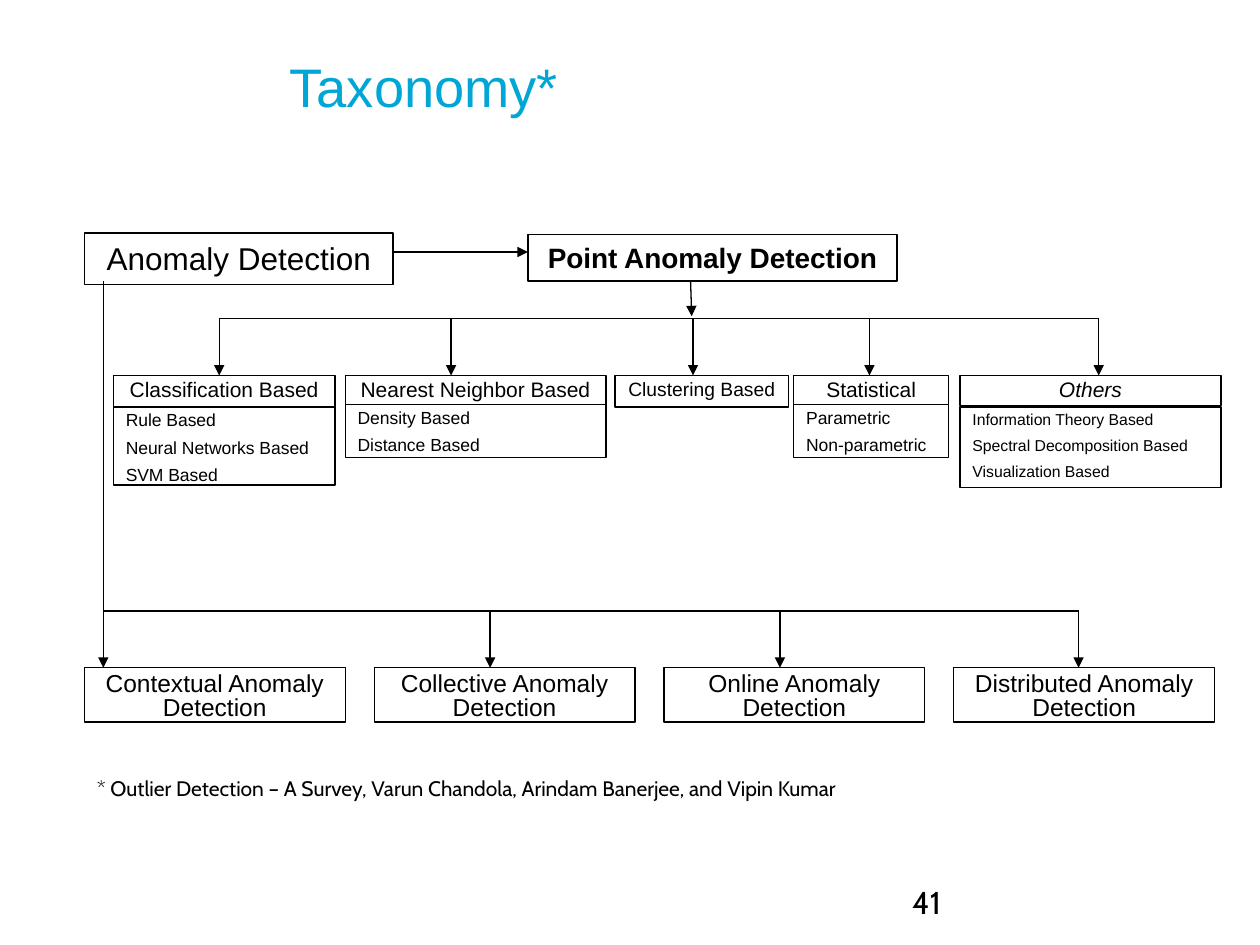
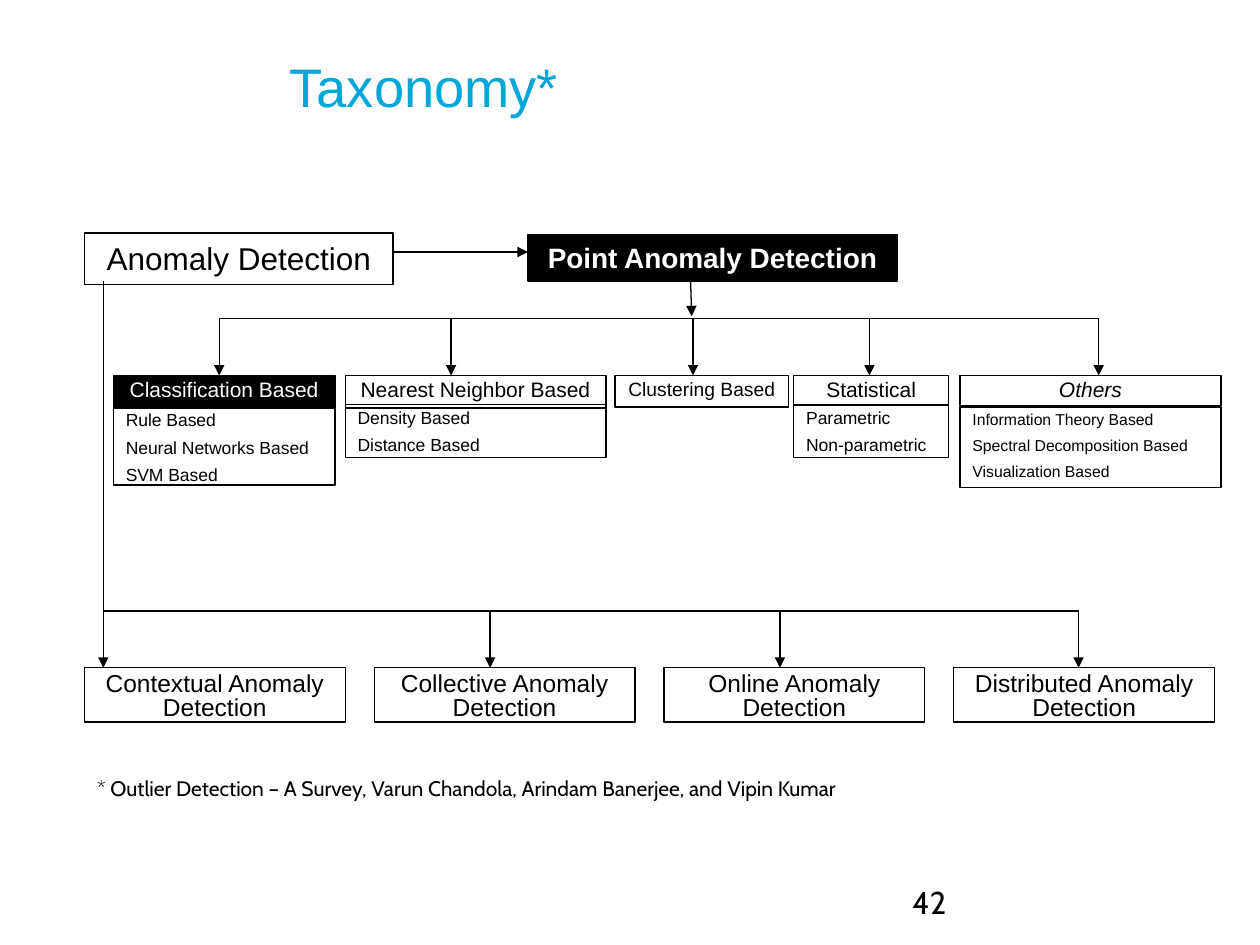
from lxml import etree
from pptx import Presentation
from pptx import util as u
from pptx.dml.color import RGBColor
from pptx.enum import shapes, text
from pptx.oxml.ns import qn

COLORS = {"ink": "000000", "paper": "FFFFFF", "title": "00A6D6"}
TITLE = "Taxonomy*"
FOOTNOTE = ("* Outlier Detection – A Survey, Varun Chandola, "
            "Arindam Banerjee, and Vipin Kumar")
ROOT = ("Anomaly Detection", (0.67, 1.85, 2.45, 0.41))
POINT = ("Point Anomaly Detection", (4.19, 1.86, 2.93, 0.37))
TECHNIQUES = [
    {"name": "Classification Based", "left": 0.9, "width": 1.76, "head": 0.26, "arrow": 1.74,
     "body": (3.23, 0.62), "items": ["Rule Based", "Neural Networks Based", "SVM Based"]},
    {"name": "Nearest Neighbor Based", "left": 2.74, "width": 2.07, "head": 0.26, "arrow": 3.58,
     "body": (3.21, 0.42), "items": ["Density Based", "Distance Based"]},
    {"name": "Clustering Based", "left": 4.88, "width": 1.38, "head": 0.25, "arrow": 5.5,
     "size": 11, "items": []},
    {"name": "Statistical", "left": 6.3, "width": 1.23, "head": 0.24, "arrow": 6.9,
     "body": (3.21, 0.42), "items": ["Parametric", "Non-parametric"]},
    {"name": "Others", "left": 7.62, "width": 2.07, "head": 0.24, "arrow": 8.72,
     "body": (3.23, 0.64), "italic": True, "item_size": 9,
     "items": ["Information Theory Based", "Spectral Decomposition Based", "Visualization Based"]},
]
KINDS = ["Contextual", "Collective", "Online", "Distributed"]
KIND_ARROWS = [3.89, 6.19, 8.56]
PAGES = [
    {"number": "41", "fill": "paper", "highlighted": []},
    {"number": "42", "fill": None, "highlighted": ["Point Anomaly Detection", "Classification Based"]},
]

TRUNK = 0.82
TECHNIQUE_RAIL, TECHNIQUE_TOP = 2.53, 2.98
KIND_RAIL, KIND_TOP, KIND_STEP = 4.85, 5.3, 2.3


def rgb(name):
    return RGBColor.from_string(COLORS[name])


def write(slide, lines, place, size=12, font="Arial", color="ink", bold=False, italic=False,
          centered=False, spacing=1.0, before=0, inset=(0.1, 0.05), fill=None, border=False):
    box = slide.shapes.add_shape(shapes.MSO_SHAPE.RECTANGLE, *map(u.Inches, place))
    box.shadow.inherit = False
    if fill:
        box.fill.solid()
        box.fill.fore_color.rgb = rgb(fill)
    else:
        box.fill.background()
    if border:
        box.line.color.rgb = rgb("ink")
        box.line.width = u.Pt(0.75)
    else:
        box.line.fill.background()
    frame = box.text_frame
    frame.word_wrap = True
    frame.vertical_anchor = text.MSO_ANCHOR.TOP
    frame.margin_left = frame.margin_right = u.Inches(inset[0])
    frame.margin_top = frame.margin_bottom = u.Inches(inset[1])
    for index, line in enumerate(lines):
        paragraph = frame.paragraphs[0] if index == 0 else frame.add_paragraph()
        paragraph.alignment = text.PP_ALIGN.CENTER if centered else text.PP_ALIGN.LEFT
        paragraph.line_spacing = spacing
        paragraph.space_before = u.Pt(before)
        run = paragraph.add_run()
        run.text = line
        run.font.name, run.font.size = font, u.Pt(size)
        run.font.bold, run.font.italic = bold, italic
        run.font.color.rgb = rgb(color)


def connect(slide, start, end, arrow=True):
    line = slide.shapes.add_connector(
        shapes.MSO_CONNECTOR.STRAIGHT, *map(u.Inches, start + end))
    line.line.color.rgb = rgb("ink")
    line.line.width = u.Pt(0.75)
    if arrow:
        etree.SubElement(line.line._get_or_add_ln(), qn("a:tailEnd"), type="triangle")
    etree.SubElement(line._element.spPr, qn("a:effectLst"))


def build(slide, page):
    def node(name, place, **style):
        marked = name in page["highlighted"]
        write(slide, [name], place, centered=True, border=True, inset=(0.05, 0.05),
              fill="ink" if marked else page["fill"],
              color="paper" if marked else "ink", **style)

    write(slide, [TITLE], (2.3, 0.37, 7.7, 1.16), size=31, color="title",
          inset=(0, 0.05), fill=page["fill"])

    node(*ROOT, size=18, before=12.5)
    for column, kind in enumerate(KINDS):
        node(f"{kind} Anomaly Detection", (0.67 + column * KIND_STEP, KIND_TOP, 2.07, 0.43),
             size=14, spacing=0.8, before=8.8)
    connect(slide, (5.48, 2.21), (5.49, 2.51))
    connect(slide, (TRUNK, 2.23), (TRUNK, KIND_TOP))
    connect(slide, (TRUNK, KIND_RAIL), (KIND_ARROWS[-1], KIND_RAIL), arrow=False)
    for x in KIND_ARROWS:
        connect(slide, (x, KIND_RAIL), (x, KIND_TOP))

    node(*POINT, size=16, bold=True, before=10)
    connect(slide, (3.12, 2.0), (4.19, 2.0))
    connect(slide, (TECHNIQUES[0]["arrow"], TECHNIQUE_RAIL),
            (TECHNIQUES[-1]["arrow"], TECHNIQUE_RAIL), arrow=False)

    for technique in TECHNIQUES:
        left, width, x = technique["left"], technique["width"], technique["arrow"]
        node(technique["name"], (left, TECHNIQUE_TOP, width, technique["head"]),
             size=technique.get("size", 12), italic=technique.get("italic", False),
             spacing=0.8, before=7.5)
        connect(slide, (x, TECHNIQUE_RAIL), (x, TECHNIQUE_TOP))
        if technique["items"]:
            top, height = technique["body"]
            write(slide, technique["items"], (left, top, width, height),
                  size=technique.get("item_size", 10), spacing=0.8, before=6.2,
                  fill=page["fill"], border=True)

    write(slide, [FOOTNOTE], (0.67, 6.11, 8.08, 0.3), font="Cabin", fill=page["fill"])
    write(slide, [page["number"]], (7.17, 6.97, 2.33, 0.4), size=18, font="Cabin",
          inset=(0.07, 0.04))


def main():
    deck = Presentation()
    deck.slide_width, deck.slide_height = u.Inches(10), u.Inches(7.5)
    for page in PAGES:
        build(deck.slides.add_slide(deck.slide_layouts[6]), page)
    deck.save("out.pptx")


if __name__ == "__main__":
    main()
